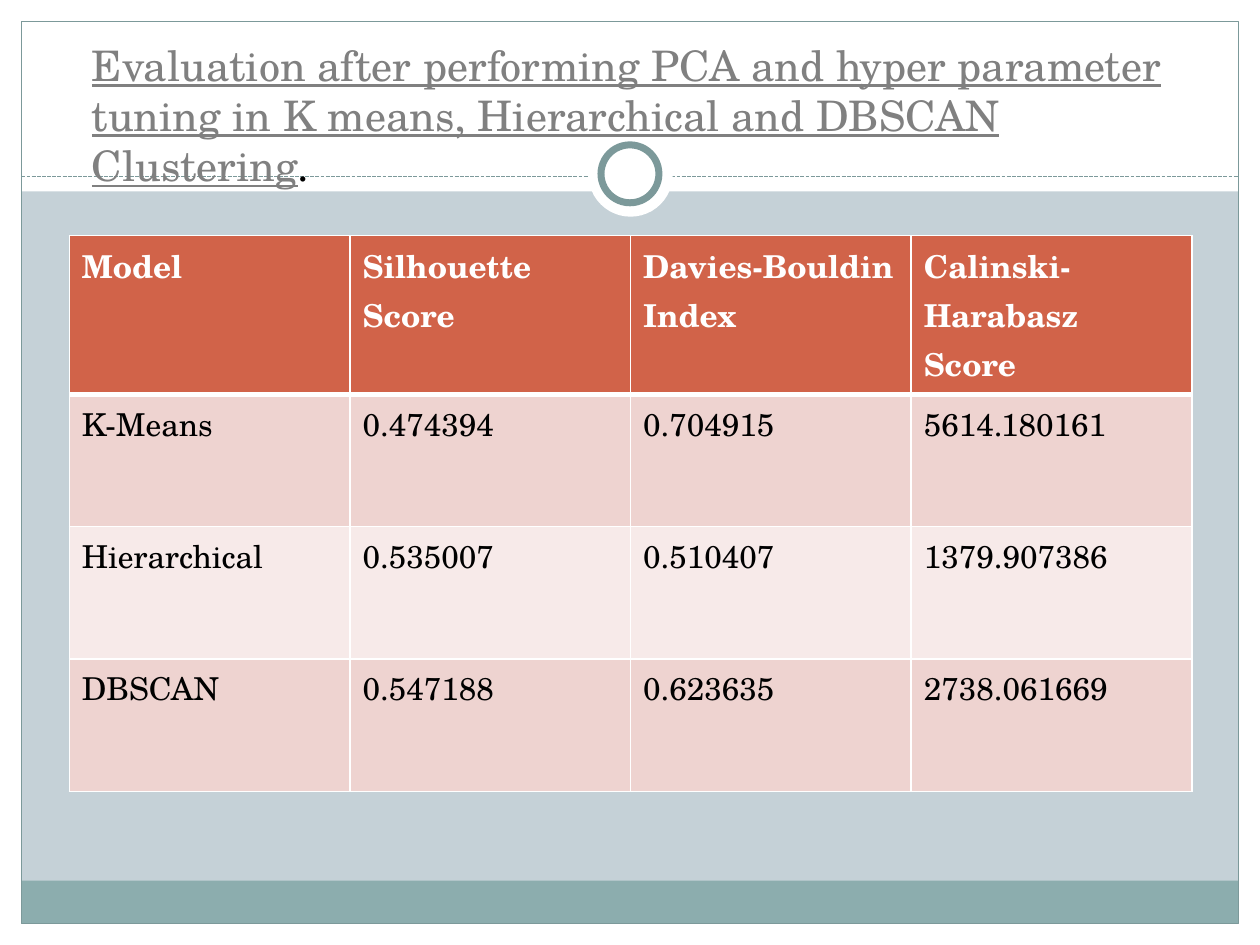
import pptx
import pptx.util
import pptx.dml.color
import pptx.enum.dml
import pptx.enum.shapes
import pptx.enum.text
import pptx.oxml
import pptx.oxml.ns
from lxml import etree

RGBColor = pptx.dml.color.RGBColor
Pt = pptx.util.Pt
WHITE = RGBColor(0xFF, 0xFF, 0xFF)
BLACK = RGBColor(0, 0, 0)
GRAY = RGBColor(0x80, 0x80, 0x80)
BACKGROUND = RGBColor(0xC5, 0xD1, 0xD7)
TEAL = RGBColor(0x8C, 0xAD, 0xAE)
TEAL_LINE = RGBColor(0x7C, 0x99, 0x9A)
HEADER = RGBColor(0xD1, 0x63, 0x49)
BANDS = [RGBColor(0xEE, 0xD3, 0xD0), RGBColor(0xF7, 0xEA, 0xE9)]
FONT = "TeX Gyre Schola"

prs = pptx.Presentation()
prs.slide_width = pptx.util.Inches(10)
prs.slide_height = pptx.util.Inches(7.5)
W, H = 10, 7.5
EDGE = 0.17
s = prs.slides.add_slide(prs.slide_layouts[6])
s.background.fill.solid()
s.background.fill.fore_color.rgb = BACKGROUND


def inches(*lengths):
    return [pptx.util.Inches(n) for n in lengths]


def style(font, **values):
    color = values.pop("color")
    for name, value in values.items():
        setattr(font, name, value)
    font.color.rgb = color


# Page edges, title band, footer bar, frame and central ring
RECT = pptx.enum.shapes.MSO_SHAPE.RECTANGLE
OVAL = pptx.enum.shapes.MSO_SHAPE.OVAL
RULE_Y = 1.4
shapes = [
    (RECT, (0, H - EDGE, W, EDGE), WHITE, None),
    (RECT, (0, 0, W, 1.52), WHITE, None),
    (RECT, (0, 0, EDGE, H), WHITE, None),
    (RECT, (W - EDGE, 0, EDGE, H), WHITE, None),
    (RECT, (EDGE, H - EDGE - 0.34, W - 2 * EDGE, 0.34), TEAL, None),
    (RECT, (EDGE, EDGE, W - 2 * EDGE, H - 2 * EDGE), None, 0.75),
    ("rule", None, None, 0.75),
    (OVAL, (W / 2 - 0.33, 1.05, 0.67, 0.67), WHITE, None),
    (OVAL, (W / 2 - 0.23, 1.15, 0.46, 0.46), WHITE, 4),
]
for kind, box, fill, line in shapes:
    if kind == "rule":
        sp = s.shapes.add_connector(
            pptx.enum.shapes.MSO_CONNECTOR.STRAIGHT,
            *inches(EDGE, RULE_Y, W - EDGE, RULE_Y))
        sp.line.dash_style = pptx.enum.dml.MSO_LINE.SQUARE_DOT
        etree.SubElement(sp._element.spPr, pptx.oxml.ns.qn("a:effectLst"))
    else:
        sp = s.shapes.add_shape(kind, *inches(*box))
        sp.shadow.inherit = False
        if fill is None:
            sp.fill.background()
        else:
            sp.fill.solid()
            sp.fill.fore_color.rgb = fill
    if line is None:
        sp.line.fill.background()
    else:
        sp.line.color.rgb = TEAL_LINE
        sp.line.width = Pt(line)

# Title
sp = s.shapes.add_textbox(*inches(0.33, 0.23, 9.3, 6.44))
tf = sp.text_frame
tf.word_wrap = True
tf.margin_left, tf.margin_top = inches(0.4, 0.08)
tf.vertical_anchor = pptx.enum.text.MSO_ANCHOR.TOP
p = tf.paragraphs[0]
for text, color, underline in [
    ("Evaluation after performing PCA and hyper parameter tuning in K means, "
     "Hierarchical and DBSCAN Clustering", GRAY, True),
    (".", BLACK, False),
]:
    r = p.add_run()
    r.text = text
    style(r.font, name=FONT, size=Pt(24), underline=underline, color=color)

# Score table, with a header row tall enough for three lines
rows = [
    ("Model", "Silhouette Score", "Davies-Bouldin Index", "Calinski-Harabasz Score"),
    ("K-Means", "0.474394", "0.704915", "5614.180161"),
    ("Hierarchical", "0.535007", "0.510407", "1379.907386"),
    ("DBSCAN", "0.547188", "0.623635", "2738.061669"),
]
HEADER_H, ROW_H = 1.26, 1.05
table = s.shapes.add_table(
    len(rows), len(rows[0]),
    *inches(0.55, 1.87, 8.91, HEADER_H + 3 * ROW_H)).table
for i, row in enumerate(rows):
    table.rows[i].height = pptx.util.Inches(ROW_H if i else HEADER_H)
    for j, text in enumerate(row):
        cell = table.cell(i, j)
        cell.fill.solid()
        cell.fill.fore_color.rgb = BANDS[(i - 1) % 2] if i else HEADER
        p = cell.text_frame.paragraphs[0]
        r = p.add_run()
        r.text = text
        style(r.font, name=FONT, size=Pt(18), bold=i == 0,
              color=BLACK if i else WHITE)
        # White borders, thicker between header and body
        widths = {"lnL": 1, "lnR": 1, "lnT": 3 if i == 1 else 1,
                  "lnB": 1 if i else 3}
        for k, (side, width) in enumerate(widths.items()):
            cell._tc.get_or_add_tcPr().insert(k, pptx.oxml.parse_xml(
                f'<a:{side} {pptx.oxml.ns.nsdecls("a")} w="{Pt(width)}">'
                f'<a:solidFill><a:srgbClr val="{WHITE}"/></a:solidFill></a:{side}>'))

prs.save("out.pptx")
